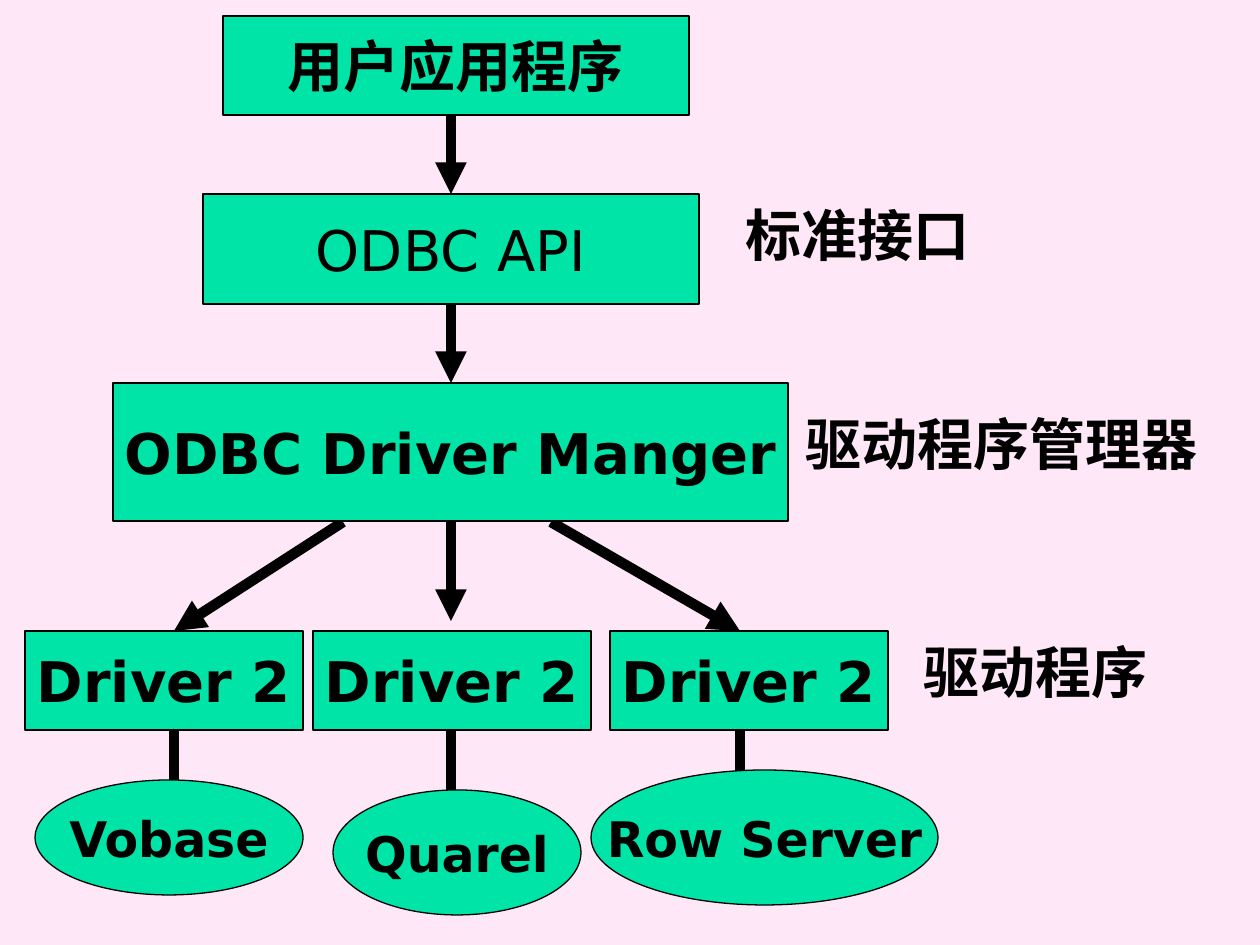
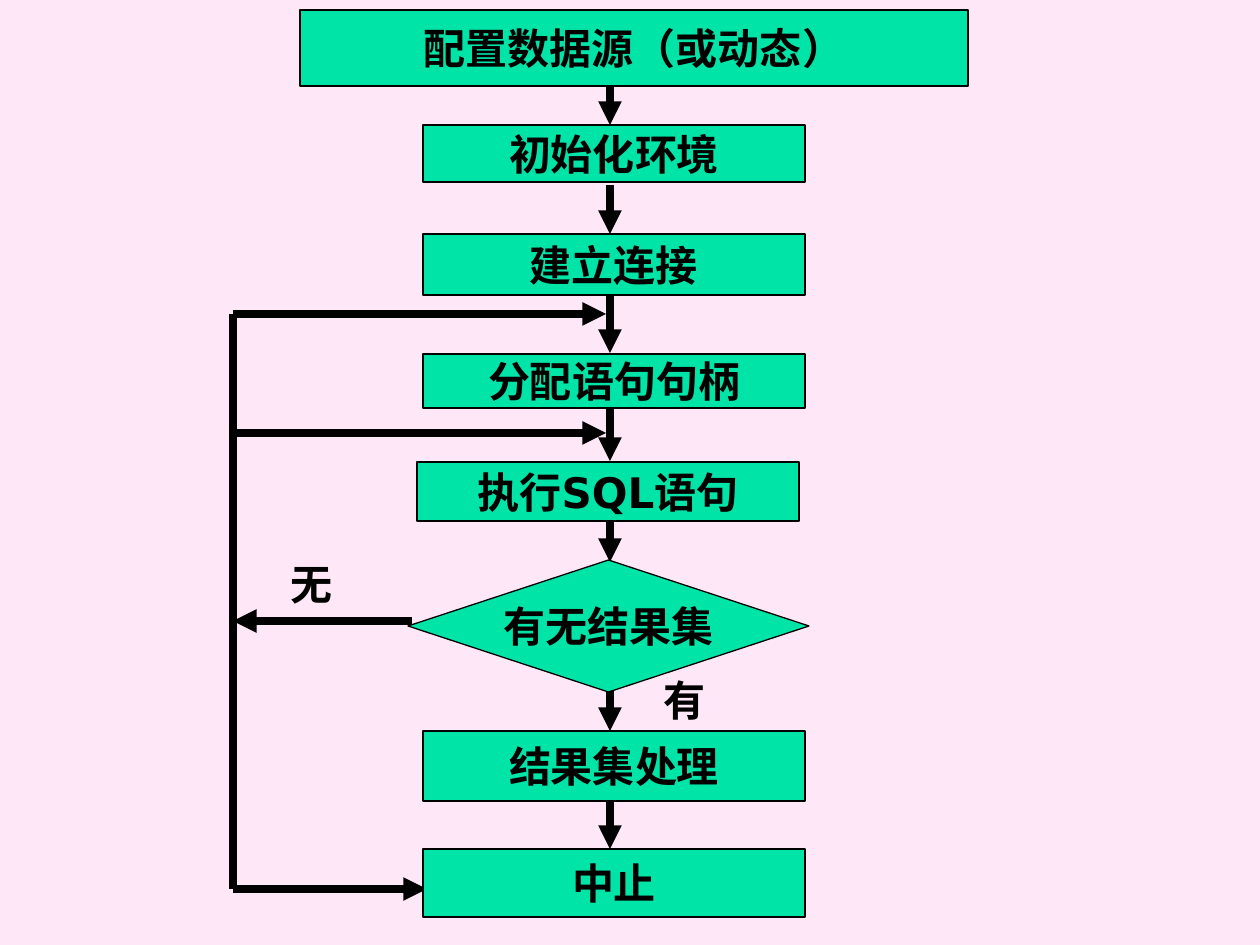
"""Build two diagram slides: the ODBC layers and the steps of an ODBC program."""
from pptx import Presentation
from pptx.dml.color import RGBColor as Rgb
from pptx.enum.shapes import MSO_CONNECTOR as Conn, MSO_SHAPE as Kind
from pptx.enum.text import MSO_ANCHOR as Anchor, PP_ALIGN as Align
from pptx.oxml.ns import qn
from pptx.util import Inches, Pt
from lxml.etree import SubElement as Sub

PINK = Rgb(0xFE, 0xE8, 0xF7)
GREEN = Rgb(0x00, 0xE4, 0xA8)
BLACK = Rgb(0x00, 0x00, 0x00)
FONT = "DejaVu Sans"
DPI = 126


def px(*vals):
    return [Inches(val / DPI) for val in vals]


def write(frame, text, size=24, bold=True, align=Align.CENTER, wrap=False):
    frame.word_wrap = wrap
    para = frame.paragraphs[0]
    para.alignment = align
    run = para.add_run()
    run.text = text
    font = run.font
    font.name, font.size, font.bold = FONT, Pt(size), bold
    font.color.rgb = BLACK
    Sub(run._r.get_or_add_rPr(), qn("a:ea")).set("typeface", FONT)


class Chart:
    def __init__(self, deck, size, width):
        self.slide = deck.slides.add_slide(deck.slide_layouts[6])
        self.size, self.width = size, width

    def box(self, text, x, y, w, h, kind=Kind.RECTANGLE, **form):
        shape = self.slide.shapes.add_shape(kind, *px(x, y, w, h))
        shape.shadow.inherit = False
        shape.fill.solid()
        shape.fill.fore_color.rgb = GREEN
        shape.line.color.rgb = BLACK
        shape.line.width = Pt(0.74)
        shape.text_frame.vertical_anchor = Anchor.MIDDLE
        write(shape.text_frame, text, **{"size": self.size, **form})

    def label(self, text, x, y, w, h, **form):
        area = self.slide.shapes.add_textbox(*px(x, y, w, h))
        write(area.text_frame, text, **{"size": self.size, **form})

    def line(self, x1, y1, x2, y2, head=True):
        link = self.slide.shapes.add_connector(Conn.STRAIGHT, *px(x1, y1, x2, y2))
        link.line.color.rgb = BLACK
        link.line.width = Pt(self.width)
        if head:
            Sub(link.line._get_or_add_ln(), qn("a:tailEnd")).set("type", "triangle")
        Sub(link._element.spPr, qn("a:effectLst"))


def layers(deck):
    page = Chart(deck, size=32, width=6)
    mid, left, right = 451, 174, 740
    top, base = 631, 731
    for y1, y2 in ((115, 194), (304, 383), (512, 621)):
        page.line(mid, y1, mid, y2)
    page.line(343, 522, left, top)
    page.line(551, 522, right, top)
    for x in (left, mid, right):
        page.line(x, base, x, 790, head=False)

    page.box("用户应用程序", 223, 16, 466, 99)
    page.box("ODBC API", 203, 194, 496, 110, bold=False)
    page.box("ODBC Driver Manger", 113, 383, 675, 138)
    for x in (25, 313, 610):
        page.box("Driver 2", x, top, 278, 99)
    for text, *place in (
        ("Vobase", 35, 780, 268, 115),
        ("Quarel", 333, 790, 248, 125),
        ("Row Server", 591, 770, 347, 135),
    ):
        page.box(text, *place, kind=Kind.OVAL, size=28)
    for text, x, y, w in (
        ("标准接口", 733, 194, 262),
        ("驱动程序管理器", 793, 403, 430),
        ("驱动程序", 911, top, 262),
    ):
        page.label(text, x, y, w, 81, align=Align.LEFT, wrap=True)


def steps(deck):
    page = Chart(deck, size=24, width=4.5)
    mid, rail = 610, 233
    for y1, y2 in (
        (86, 125), (185, 234), (294, 353), (403, 461),
        (522, 562), (689, 731), (790, 849),
    ):
        page.line(mid, y1, mid, y2)
    for x, y in ((606, 314), (606, 433), (427, 889)):
        page.line(rail, y, x, y)
    page.line(rail, 314, rail, 889, head=False)
    page.line(412, 621, rail, 621)

    page.box("配置数据源（或动态）", 300, 10, 668, 76)
    for text, x, y, h in (
        ("初始化环境", 423, 125, 57),
        ("建立连接", 423, 234, 61),
        ("分配语句句柄", 423, 354, 54),
        ("执行SQL语句", 417, 462, 59),
        ("结果集处理", 423, 731, 70),
        ("中止", 423, 849, 68),
    ):
        page.box(text, x, y, 382, h)
    page.box("有无结果集", 408, 560, 401, 132, kind=Kind.DIAMOND)
    page.label("无", 278, 552, 67, 63)
    page.label("有", 651, 668, 67, 63)


def main():
    deck = Presentation()
    deck.slide_width, deck.slide_height = px(1260, 945)
    back = deck.slide_master.background.fill
    back.solid()
    back.fore_color.rgb = PINK
    layers(deck)
    steps(deck)
    deck.save("out.pptx")


main()
